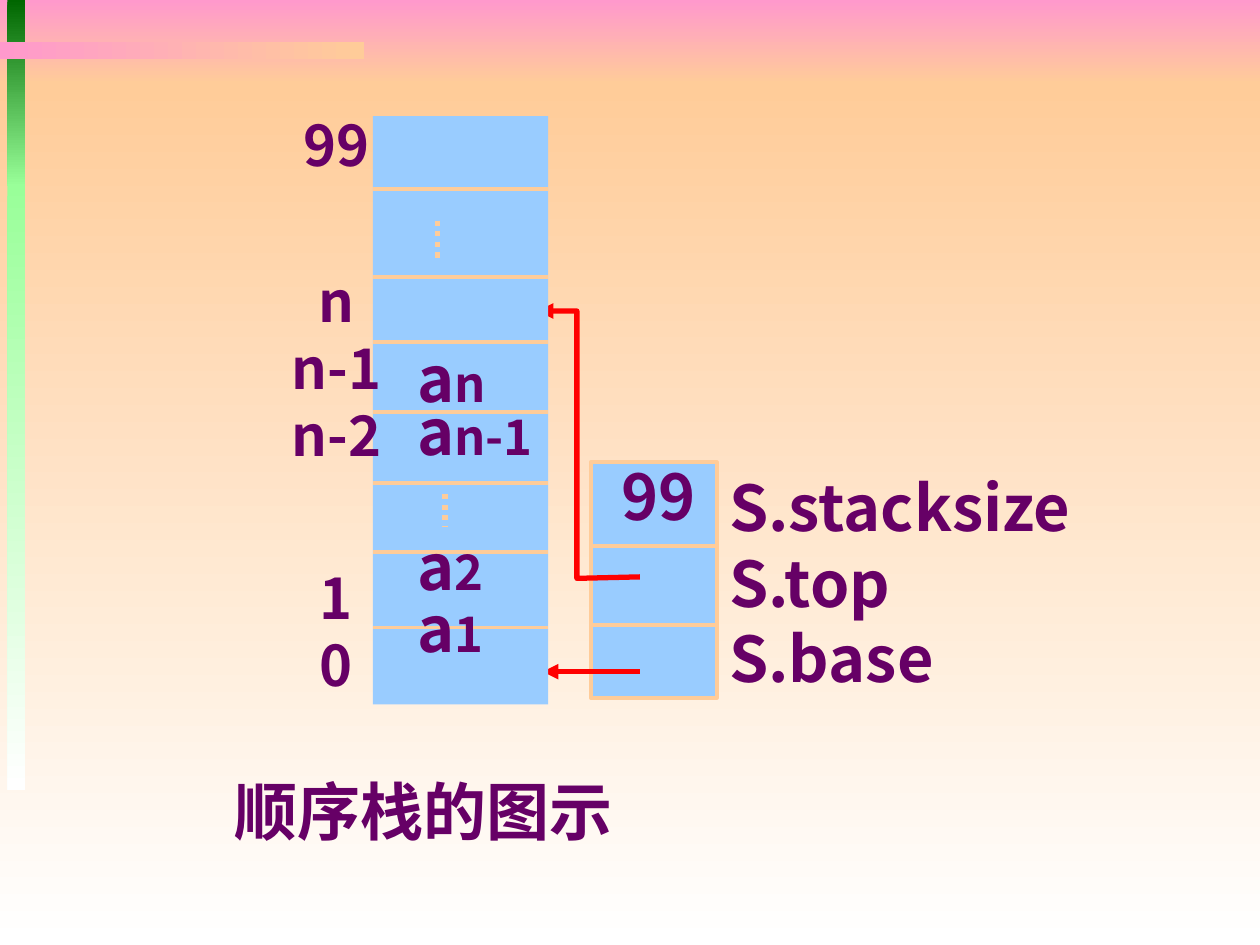
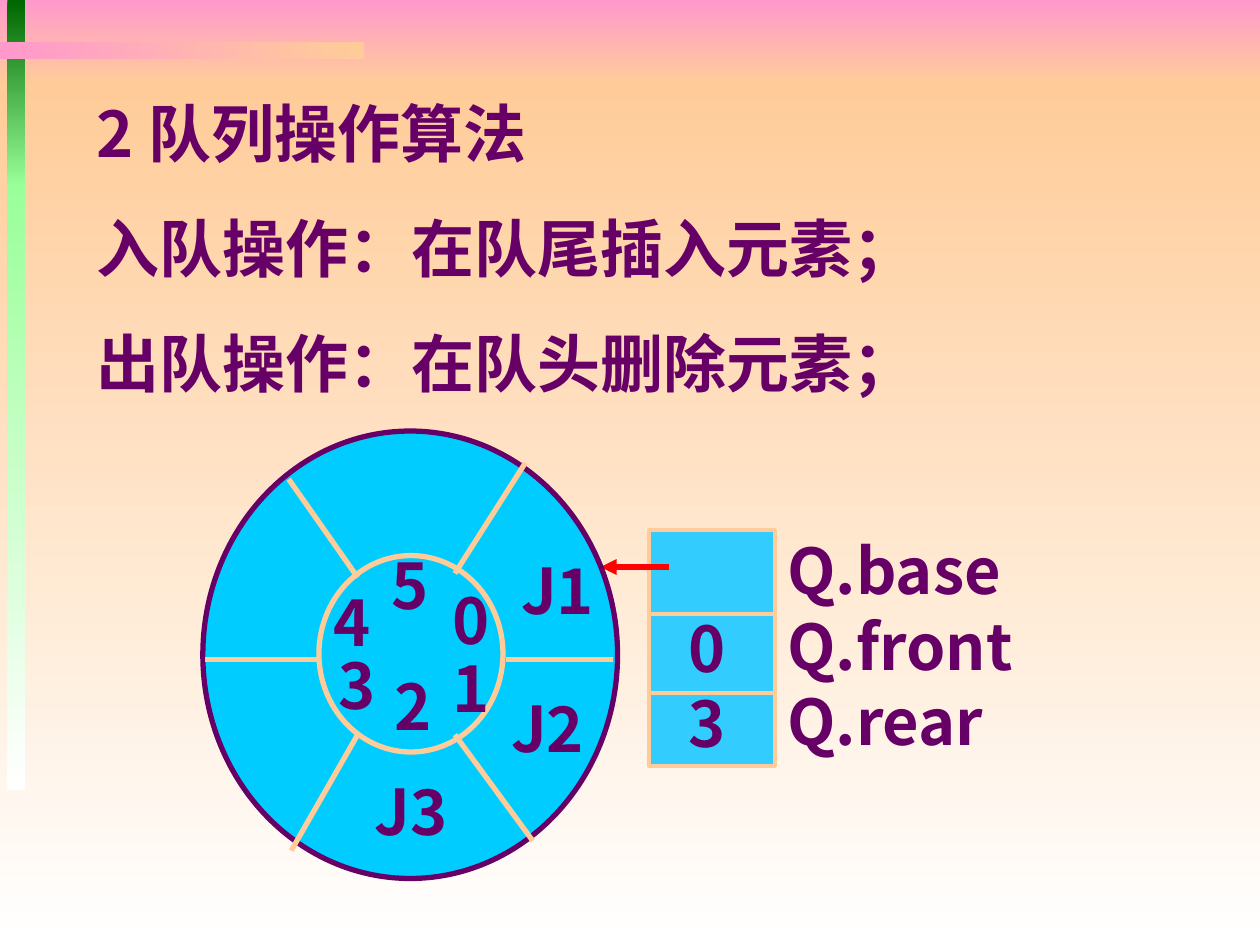
from lxml import etree
from pptx import Presentation
from pptx.dml.color import RGBColor
from pptx.enum.dml import MSO_LINE
from pptx.enum.shapes import MSO_CONNECTOR, MSO_SHAPE
from pptx.enum.text import MSO_ANCHOR, MSO_AUTO_SIZE, PP_ALIGN
from pptx.oxml.ns import qn
from pptx.util import Cm, Pt

RECT, OVAL = MSO_SHAPE.RECTANGLE, MSO_SHAPE.OVAL
STRAIGHT = MSO_CONNECTOR.STRAIGHT
DOTTED = MSO_LINE.ROUND_DOT
LEFT, CENTER = PP_ALIGN.LEFT, PP_ALIGN.CENTER
TOP, NO_FIT = MSO_ANCHOR.TOP, MSO_AUTO_SIZE.NONE

FONT = "Noto Sans CJK SC"
PURPLE = RGBColor(0x66, 0x00, 0x66)
PINK = RGBColor(0xFF, 0x99, 0xCC)
PEACH = RGBColor(0xFF, 0xCC, 0x99)
WHITE = RGBColor(0xFF, 0xFF, 0xFF)
DARK_GREEN = RGBColor(0x00, 0x66, 0x00)
LIGHT_GREEN = RGBColor(0x99, 0xFF, 0x99)
RED = RGBColor(0xFF, 0x00, 0x00)
STACK_BLUE = RGBColor(0x99, 0xCC, 0xFF)
QUEUE_BLUE = RGBColor(0x33, 0xCC, 0xFF)
RING_BLUE = RGBColor(0x00, 0xCC, 0xFF)

TITLE_ONLY = 5
DOWN, LEFTWARD = 270, 180
LINE_RATIO = 1.2
RECORD_WIDTH, RECORD_HEIGHT = 2.54, 4.75


def write(frame, paras, size=36, align=LEFT, befores=(), pitch=None):
    """Fill a frame; each paragraph is a string or a list of (text, size) spans."""
    frame.word_wrap = True
    frame.auto_size = NO_FIT
    frame.vertical_anchor = TOP
    for i, content in enumerate(paras):
        para = frame.paragraphs[0] if i == 0 else frame.add_paragraph()
        para.alignment = align
        para.line_spacing = Pt(pitch or size * LINE_RATIO)
        if i and befores:
            para.space_before = Pt(befores[i - 1])
        spans = [(content, size)] if isinstance(content, str) else content
        for text, span_size in spans:
            span = para.add_run()
            span.text = text
            span.font.size = Pt(span_size)
            span.font.bold = True
            span.font.color.rgb = PURPLE
            span.font.name = FONT
            east_asian = etree.SubElement(span.font._element, qn("a:ea"))
            east_asian.set("typeface", FONT)


def add_text(page, left, top, width, height, paras, **text_format):
    box = page.shapes.add_textbox(Cm(left), Cm(top), Cm(width), Cm(height))
    write(box.text_frame, paras, **text_format)


def set_title(page, left, top, width, text):
    title = page.shapes.title
    title.left, title.top = Cm(left), Cm(top)
    title.width, title.height = Cm(width), Cm(1.78)
    write(title.text_frame, [text])


def add_block(page, kind, left, top, width, height, fill=None, line=None, weight=2.25):
    block = page.shapes.add_shape(kind, Cm(left), Cm(top), Cm(width), Cm(height))
    block.shadow.inherit = False
    if fill is not None:
        block.fill.solid()
        block.fill.fore_color.rgb = fill
    if line is None:
        block.line.fill.background()
    else:
        block.line.color.rgb = line
        block.line.width = Pt(weight)
    return block


def add_arrowhead(line):
    etree.SubElement(line._get_or_add_ln(), qn("a:tailEnd")).set("type", "triangle")


def add_line(page, x1, y1, x2, y2, color=PEACH, weight=2.25, dash=None, arrow=False):
    connector = page.shapes.add_connector(STRAIGHT, Cm(x1), Cm(y1), Cm(x2), Cm(y2))
    connector.line.color.rgb = color
    connector.line.width = Pt(weight)
    if dash is not None:
        connector.line.dash_style = dash
    if arrow:
        add_arrowhead(connector.line)
    etree.SubElement(connector._element.spPr, qn("a:effectLst"))


def add_elbow_arrow(page, points):
    corners = [(Cm(x), Cm(y)) for x, y in points]
    builder = page.shapes.build_freeform(*corners[0])
    builder.add_line_segments(corners[1:], close=False)
    elbow = builder.convert_to_shape()
    elbow.shadow.inherit = False
    elbow.fill.background()
    elbow.line.color.rgb = RED
    elbow.line.width = Pt(3)
    add_arrowhead(elbow.line)


def add_master_bands(deck, page):
    """Draw the gradient bands on a page, then move them behind everything on the master."""
    bands = [
        (0, 0, 25.4, 1.7, PINK, PEACH, DOWN),
        (0, 1.7, 25.4, 17.35, PEACH, WHITE, DOWN),
        (0.15, 0, 0.36, 3.76, DARK_GREEN, LIGHT_GREEN, DOWN),
        (0.15, 3.71, 0.36, 12.22, LIGHT_GREEN, WHITE, DOWN),
        (0, 0.84, 7.34, 0.36, PEACH, PINK, LEFTWARD),
    ]
    tree = deck.slide_master.shapes.element
    for i, (left, top, width, height, start, end, angle) in enumerate(bands):
        band = add_block(page, RECT, left, top, width, height)
        band.fill.gradient()
        band.fill.gradient_angle = angle
        for stop, color in zip(band.fill.gradient_stops, (start, end)):
            stop.color.rgb = color
        band.element.nvSpPr.cNvPr.id = 100 + i
        tree.insert(2 + i, band.element)


def add_record(page, left, top, fill, fields, label_width, label_shift=0):
    """Draw a three-cell record with its field names on the right."""
    right = left + RECORD_WIDTH
    add_text(page, right, top + label_shift, label_width, 4.83, fields)
    add_block(page, RECT, left, top, RECORD_WIDTH, RECORD_HEIGHT, fill, PEACH)
    for offset in (1.69, 3.28):
        add_line(page, left, top + offset, right, top + offset)


def add_stack_record(page, left, top):
    add_record(page, left, top, STACK_BLUE, ["S.stacksize", "S.top", "S.base"], 7.82)
    add_line(page, left + 0.99, top + 4.22, left - 0.97, top + 4.22,
             color=RED, weight=3, arrow=True)
    route = [(0.99, 2.31), (-0.28, 2.34), (-0.28, -3.05), (-1.07, -3.05)]
    add_elbow_arrow(page, [(left + x, top + y) for x, y in route])
    add_text(page, left, top - 0.23, 2.74, 1.78, ["99"], align=CENTER)


def add_stack(page, left, top, width, height):
    add_block(page, RECT, left, top, width, height, STACK_BLUE)
    for offset in (1.47, 3.25, 4.55, 5.97, 7.39, 8.79, 10.31):
        add_line(page, left, top + offset, left + width, top + offset)
    add_text(page, left - 2.44, top - 0.23, 3.4, 12.09,
             ["99", "n", "n-1", "n-2", "1", "0"],
             size=32, align=CENTER, befores=(50.4, 0, 0, 54.4, 0))
    for x, start, end in ((1.3, 2.11, 2.95), (1.45, 7.62, 8.26)):
        add_line(page, left + x, top + start, left + x, top + end,
                 weight=3, dash=DOTTED)
    elements = [[("a", 36), (index, 28)] for index in ("n", "n-1", "2", "1")]
    add_text(page, left + 0.64, top + 4.85, 3.18, 6.3, elements,
             pitch=30, befores=(0.3, 47, 5.4))


def add_queue_record(page, left, top):
    add_record(page, left, top, QUEUE_BLUE, ["Q.base", "Q.front", "Q.rear"],
               6.05, label_shift=-0.1)
    add_text(page, left + 0.2, top + 1.47, 1.96, 3.3, ["0", "3"], align=CENTER)
    add_line(page, left + 0.41, top + 0.74, left - 0.97, top + 0.74,
             color=RED, weight=3, arrow=True)


def add_queue_ring(page, left, top, width, height):
    add_block(page, OVAL, left, top, width, height, RING_BLUE, PURPLE, 3)
    add_block(page, OVAL, left + 2.34, top + 2.51, 3.71, 3.96, RING_BLUE, PEACH, 3)
    spokes = [
        (1.73, 0.97, 3.12, 2.95), (6.5, 0.64, 5.08, 2.87),
        (5.08, 6.12, 6.65, 8.26), (3.12, 6.12, 1.78, 8.46),
        (2.34, 4.6, 0.05, 4.6), (6.12, 4.6, 8.26, 4.6),
    ]
    for x1, y1, x2, y2 in spokes:
        add_line(page, left + x1, top + y1, left + x2, top + y2, weight=3)
    labels = [
        ("0", 5.4, 2.9), ("1", 5.41, 4.27), ("4", 3.0, 2.95),
        ("3", 3.1, 4.22), ("2", 4.24, 4.65), ("5", 4.17, 2.21),
        ("J3", 4.2, 6.76), ("J2", 6.95, 5.08), ("J1", 7.15, 2.31),
    ]
    for text, center, offset in labels:
        label_width = 1.74 if len(text) == 1 else 3.33
        add_text(page, left + center - label_width / 2, top + offset,
                 label_width, 1.78, [text], align=CENTER)


def build_stack_page(page):
    add_stack_record(page, 11.91, 9.32)
    add_stack(page, 7.52, 2.34, 3.53, 11.86)
    set_title(page, 4.47, 15.44, 15.27, "顺序栈的图示")


def build_queue_page(page):
    set_title(page, 1.7, 1.78, 22.33, "2 队列操作算法")
    add_text(page, 1.7, 4.09, 22.33, 4.1,
             ["入队操作：在队尾插入元素；", "出队操作：在队头删除元素；"],
             befores=(22.5,))
    add_queue_record(page, 13.08, 10.69)
    add_queue_ring(page, 4.09, 8.69, 8.36, 9.02)


def main():
    deck = Presentation()
    deck.slide_width, deck.slide_height = Cm(25.4), Cm(19.05)
    layout = deck.slide_layouts[TITLE_ONLY]
    stack_page = deck.slides.add_slide(layout)
    queue_page = deck.slides.add_slide(layout)
    add_master_bands(deck, stack_page)
    build_stack_page(stack_page)
    build_queue_page(queue_page)
    deck.save("out.pptx")


if __name__ == "__main__":
    main()
